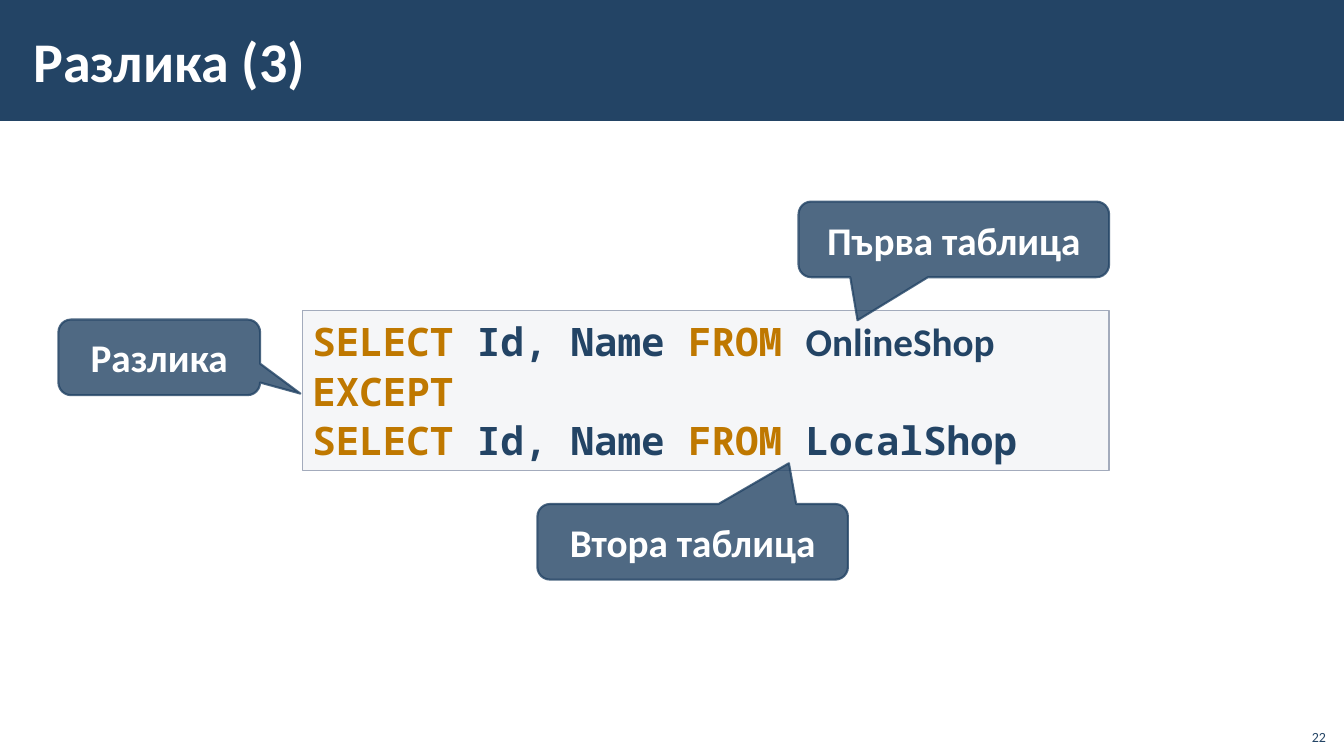
from lxml import etree
from pptx import Presentation
from pptx import util as u
from pptx.dml.color import RGBColor
from pptx.enum import shapes, text
from pptx.oxml import ns

PX = 9144
NAVY = RGBColor(0x23, 0x44, 0x65)
GOLD = RGBColor(0xBF, 0x78, 0x00)
WHITE = RGBColor(0xFF, 0xFF, 0xFF)
PALE = RGBColor(0xC2, 0xC7, 0xD2)
EDGE = RGBColor(0xA3, 0xAB, 0xBC)
SANS = "Calibri"
MONO = "Noto Sans Mono"

QUERY = [
    [("SELECT", GOLD, MONO), (" Id, Name ", NAVY, MONO),
     ("FROM ", GOLD, MONO), ("OnlineShop", NAVY, SANS)],
    [("EXCEPT", GOLD, MONO)],
    [("SELECT", GOLD, MONO), (" Id, Name ", NAVY, MONO),
     ("FROM", GOLD, MONO), (" LocalShop", NAVY, MONO)],
]

CALLS = [
    ("Първа таблица", (792, 200, 308, 75), (-0.31, 1.07)),
    ("Втора таблица", (533, 500, 308, 75), (0.31, -1.04)),
    ("Разлика", (58, 317, 200, 75), (0.7, 0.48)),
]


def scale(box):
    return [n * PX for n in box]


def style(font, size, color, name=SANS, bold=True):
    font.size = u.Pt(size)
    font.color.rgb = color
    font.name = name
    font.bold = bold


def fade(shape, share):
    for color in shape.element.spPr.iter(ns.qn("a:srgbClr")):
        alpha = etree.SubElement(color, ns.qn("a:alpha"))
        alpha.set("val", str(share * 1000))


def add_form(slide, kind, box, fill):
    form = slide.shapes.add_shape(kind, *scale(box))
    form.shadow.inherit = False
    form.fill.solid()
    form.fill.fore_color.rgb = fill
    form.line.fill.background()
    return form


def add_edge(form, color, width):
    form.line.color.rgb = color
    form.line.width = u.Pt(width)


def add_title(slide, words):
    title = slide.shapes.title
    title.left, title.top, title.width, title.height = scale((21, 11, 1123, 97))
    bar = add_form(slide, shapes.MSO_SHAPE.RECTANGLE, (0, 0, 1334, 120), NAVY)
    title.element.addprevious(bar.element)
    frame = title.text_frame
    frame.text = words
    frame.vertical_anchor = text.MSO_ANCHOR.MIDDLE
    frame.margin_left = frame.margin_right = 12 * PX
    frame.margin_top = frame.margin_bottom = 4 * PX
    line = frame.paragraphs[0]
    line.alignment = text.PP_ALIGN.LEFT
    style(line.runs[0].font, 40, WHITE)


def add_code(slide, box, lines):
    form = add_form(slide, shapes.MSO_SHAPE.RECTANGLE, box, PALE)
    fade(form, 15)
    add_edge(form, EDGE, 1)
    frame = form.text_frame
    frame.word_wrap = True
    frame.auto_size = text.MSO_AUTO_SIZE.SHAPE_TO_FIT_TEXT
    frame.vertical_anchor = text.MSO_ANCHOR.TOP
    for i, parts in enumerate(lines):
        line = frame.add_paragraph() if i else frame.paragraphs[0]
        line.alignment = text.PP_ALIGN.LEFT
        line.line_spacing = 1.05
        for words, color, name in parts:
            run = line.add_run()
            run.text = words
            style(run.font, 28, color, name)


def add_call(slide, words, box, tip):
    kind = shapes.MSO_SHAPE.ROUNDED_RECTANGULAR_CALLOUT
    form = add_form(slide, kind, box, NAVY)
    add_edge(form, NAVY, 1.5)
    fade(form, 80)
    for i, part in enumerate(tip):
        form.adjustments[i] = part
    frame = form.text_frame
    frame.text = words
    frame.word_wrap = True
    frame.vertical_anchor = text.MSO_ANCHOR.MIDDLE
    line = frame.paragraphs[0]
    line.alignment = text.PP_ALIGN.CENTER
    style(line.runs[0].font, 28, WHITE)


def add_page(slide, words, box):
    frame = slide.shapes.add_textbox(*scale(box)).text_frame
    frame.text = words
    frame.word_wrap = True
    frame.vertical_anchor = text.MSO_ANCHOR.BOTTOM
    line = frame.paragraphs[0]
    line.alignment = text.PP_ALIGN.RIGHT
    style(line.runs[0].font, 10, NAVY, bold=False)


def main():
    deck = Presentation()
    deck.slide_width, deck.slide_height = scale((1333, 750))
    slide = deck.slides.add_slide(deck.slide_layouts[5])
    add_title(slide, "Разлика (3)")
    add_code(slide, (300, 308, 800, 159), QUERY)
    for words, box, tip in CALLS:
        add_call(slide, words, box, tip)
    add_page(slide, "22", (1285, 712, 40, 32))
    deck.save("out.pptx")


if __name__ == "__main__":
    main()
